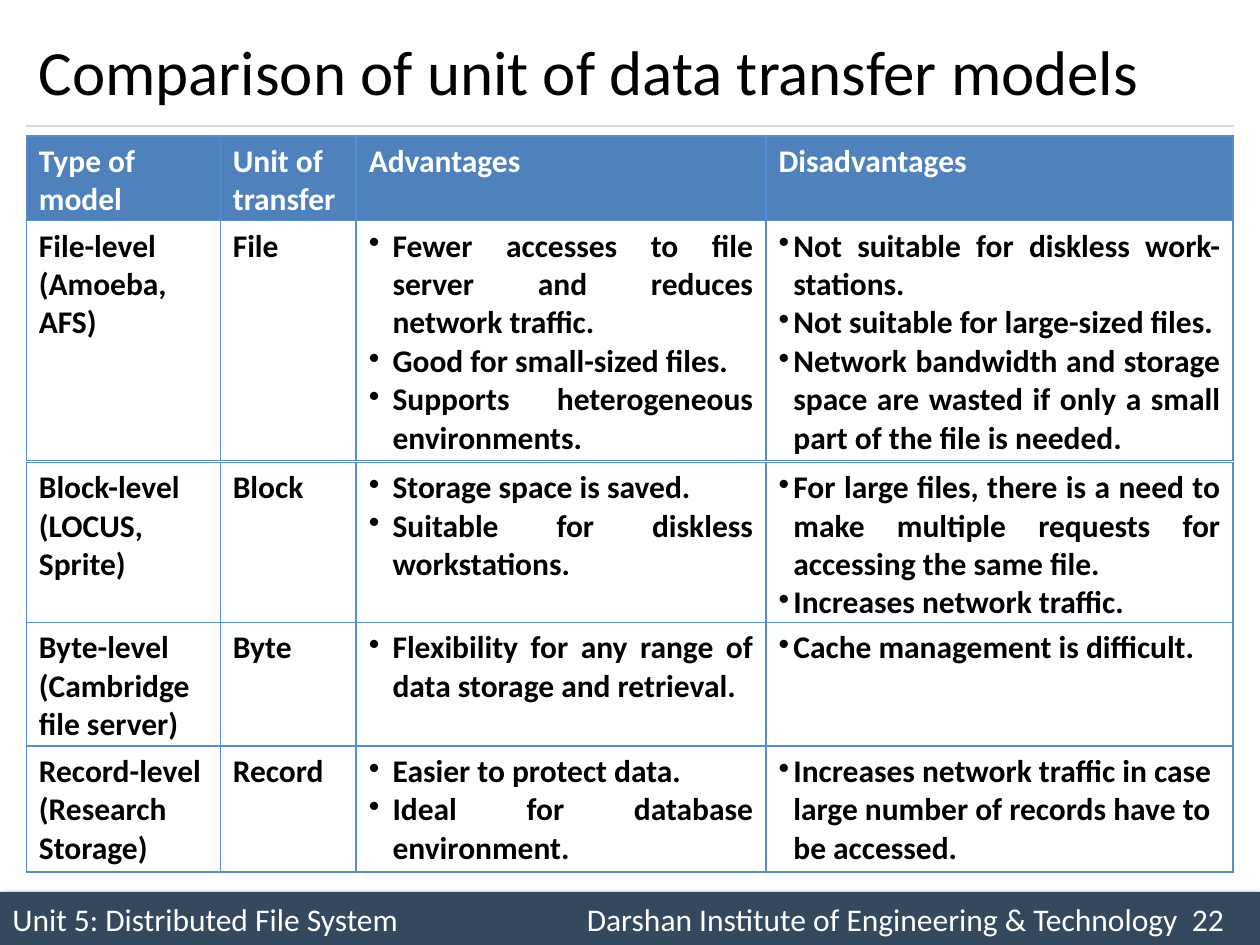
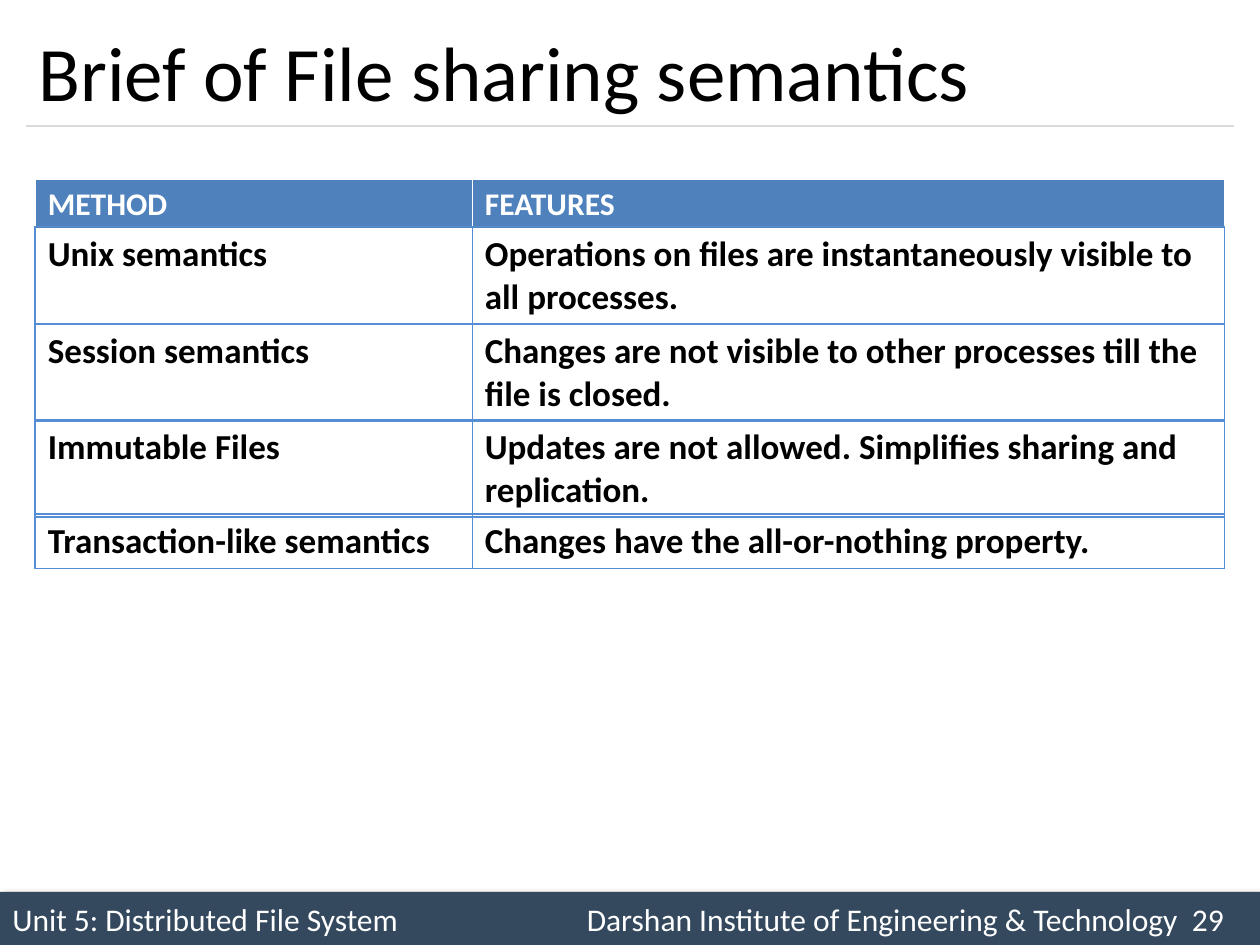
from dataclasses import dataclass

from lxml.etree import SubElement
from pptx import Presentation
from pptx.dml.color import RGBColor
from pptx.enum.shapes import MSO_CONNECTOR, MSO_SHAPE
from pptx.enum.text import MSO_ANCHOR, PP_ALIGN
from pptx.oxml.ns import qn
from pptx.util import Cm, Pt


@dataclass(frozen=True)
class Theme:
    font: str = "Calibri"
    ink: str = "000000"
    paper: str = "FFFFFF"
    header: str = "4F81BD"
    border: str = "558ED5"
    rule: str = "D9D9D9"
    footer: str = "34495E"
    small: int = 18
    body: int = 20
    compact_title: int = 36
    title: int = 44


THEME = Theme()
LEFT, JUSTIFY = PP_ALIGN.LEFT, PP_ALIGN.JUSTIFY

# Content: each strip is (top, height, cells), each cell a list of paragraphs
UNIT = "Unit 5: Distributed File System"
INSTITUTE = "Darshan Institute of Engineering & Technology"

TRANSFER = {
    "title": "Comparison of unit of data transfer models",
    "title_size": THEME.compact_title,
    "number": 22,
    "left": 0.53,
    "columns": [3.91, 2.74, 8.26, 9.42],
    "hanging": [0, 0, 0.48, 0.3],
    "text_size": THEME.small,
    "body_fill": THEME.paper,
    "header_lines": {side: (THEME.border, 1) for side in "LRTB"},
    "left_aligned": {"Record"},
    "strips": [
        (2.74, 1.78, [["Type of model"], ["Unit of transfer"],
                      ["Advantages"], ["Disadvantages"]]),
        (4.45, 4.83, [
            ["File-level", "(Amoeba, AFS)"],
            ["File"],
            ["Fewer accesses to file server and reduces network traffic.",
             "Good for small-sized files.",
             "Supports heterogeneous environments."],
            ["Not suitable for diskless work-stations.",
             "Not suitable for large-sized files.",
             "Network bandwidth and storage space are wasted if only "
             "a small part of the file is needed."]]),
        (9.32, 3.3, [
            ["Block-level", "(LOCUS, Sprite)"],
            ["Block"],
            ["Storage space is saved.",
             "Suitable for diskless workstations."],
            ["For large files, there is a need to make multiple requests "
             "for accessing the same file.",
             "Increases network traffic."]]),
        (12.55, 2.54, [
            ["Byte-level", "(Cambridge file server)"],
            ["Byte"],
            ["Flexibility for any range of data storage and retrieval."],
            ["Cache management is difficult."]]),
        (15.04, 2.54, [
            ["Record-level (Research Storage)"],
            ["Record"],
            ["Easier to protect data.", "Ideal for database environment."],
            ["Increases network traffic in case large number of records "
             "have to be accessed."]]),
    ],
}

SEMANTICS = {
    "title": "Brief of File sharing semantics",
    "title_size": THEME.title,
    "number": 29,
    "left": 0.71,
    "columns": [8.81, 15.16],
    "hanging": [0, 0],
    "text_size": THEME.body,
    "body_fill": None,
    "header_lines": {"L": (THEME.paper, 1), "R": (THEME.paper, 1),
                     "T": (THEME.paper, 1), "B": (THEME.paper, 3)},
    "left_aligned": set(),
    "strips": [
        (3.61, 1.04, [["METHOD"], ["FEATURES"]]),
        (4.57, 1.96, [["Unix semantics"],
                      ["Operations on files are instantaneously visible "
                       "to all processes."]]),
        (6.53, 1.96, [["Session semantics"],
                      ["Changes are not visible to other processes till "
                       "the file is closed."]]),
        (8.46, 1.96, [["Immutable Files"],
                      ["Updates are not allowed. Simplifies sharing and "
                       "replication."]]),
        (10.36, 1.09, [["Transaction-like semantics"],
                       ["Changes have the all-or-nothing property."]]),
    ],
}


# Text and formatting helpers
def write(para, text, *, size, color=THEME.ink, bold=False, align=LEFT,
          hanging=0, tabs=()):
    para.alignment = align
    properties = para._p.get_or_add_pPr()
    if hanging:
        properties.set("marL", str(Cm(hanging)))
        properties.set("indent", str(-Cm(hanging)))
        SubElement(properties, qn("a:buChar"), char="•")
    if tabs:
        stops = SubElement(properties, qn("a:tabLst"))
        for position in tabs:
            SubElement(stops, qn("a:tab"), pos=str(Cm(position)), algn="l")
    span = para.add_run()
    span.text = text
    span.font.name = THEME.font
    span.font.size = Pt(size)
    span.font.bold = bold
    span.font.color.rgb = RGBColor.from_string(color)


def paint(fill, color):
    if color is None:
        fill.background()
    else:
        fill.solid()
        fill.fore_color.rgb = RGBColor.from_string(color)


def outline(cell, lines):
    """Add the cell borders; they must come before the fill."""
    properties = cell._tc.get_or_add_tcPr()
    for side in "LRTB":
        color, width = lines[side]
        line = SubElement(properties, qn(f"a:ln{side}"), w=str(Pt(width)))
        solid = SubElement(line, qn("a:solidFill"))
        SubElement(solid, qn("a:srgbClr"), val=color)


# Parts shared by the slides
def add_footer(page, number):
    band = page.shapes.add_shape(MSO_SHAPE.RECTANGLE, 0, Cm(17.98),
                                 Cm(25.4), Cm(1.07))
    paint(band.fill, THEME.footer)
    band.line.fill.background()
    band.shadow.inherit = False
    effects = band._element.spPr.find(qn("a:effectLst"))
    shadow = SubElement(effects, qn("a:outerShdw"), blurRad=str(Pt(4)),
                        dist=str(Pt(3)), dir=str(45 * 60000), algn="tl",
                        rotWithShape="0")
    shade = SubElement(shadow, qn("a:srgbClr"), val=THEME.ink)
    SubElement(shade, qn("a:alpha"), val="40000")
    band.text_frame.vertical_anchor = MSO_ANCHOR.MIDDLE
    write(band.text_frame.paragraphs[0], f"{UNIT}\t{INSTITUTE}\t{number}",
          size=THEME.small, color=THEME.paper, tabs=(11.58, 23.78))


def add_heading(page, title, size):
    rule = page.shapes.add_connector(MSO_CONNECTOR.STRAIGHT, Cm(0.53),
                                     Cm(2.54), Cm(24.87), Cm(2.54))
    rule.line.color.rgb = RGBColor.from_string(THEME.rule)
    rule.line.width = Pt(0.75)
    SubElement(rule._element.spPr, qn("a:effectLst"))
    box = page.shapes.add_textbox(Cm(0.53), Cm(0.3), Cm(24.33), Cm(2.24))
    box.text_frame.word_wrap = True
    box.text_frame.vertical_anchor = MSO_ANCHOR.MIDDLE
    write(box.text_frame.paragraphs[0], title, size=size)


def add_strip(page, content, strip, is_header):
    top, height, cells = strip
    columns = content["columns"]
    table = page.shapes.add_table(1, len(columns), Cm(content["left"]),
                                  Cm(top), Cm(sum(columns)),
                                  Cm(height)).table
    table.first_row = table.horz_banding = False
    body_lines = {side: (THEME.border, 1) for side in "LRTB"}
    for index, paragraphs in enumerate(cells):
        table.columns[index].width = Cm(columns[index])
        cell = table.cell(0, index)
        outline(cell, content["header_lines"] if is_header else body_lines)
        paint(cell.fill, THEME.header if is_header else content["body_fill"])
        hanging = 0 if is_header else content["hanging"][index]
        # The last column of some rows is ragged rather than justified
        ragged = index == 3 and cells[1][0] in content["left_aligned"]
        frame = cell.text_frame
        for order, text in enumerate(paragraphs):
            para = frame.add_paragraph() if order else frame.paragraphs[0]
            write(para, text, bold=True, hanging=hanging,
                  size=THEME.small if is_header else content["text_size"],
                  color=THEME.paper if is_header else THEME.ink,
                  align=JUSTIFY if hanging and not ragged else LEFT)


def main():
    deck = Presentation()
    deck.slide_width, deck.slide_height = Cm(25.4), Cm(19.05)
    for content in (TRANSFER, SEMANTICS):
        page = deck.slides.add_slide(deck.slide_layouts[6])
        paint(page.background.fill, THEME.paper)
        add_footer(page, content["number"])
        add_heading(page, content["title"], content["title_size"])
        for order, strip in enumerate(content["strips"]):
            add_strip(page, content, strip, is_header=order == 0)
    deck.save("out.pptx")


if __name__ == "__main__":
    main()
